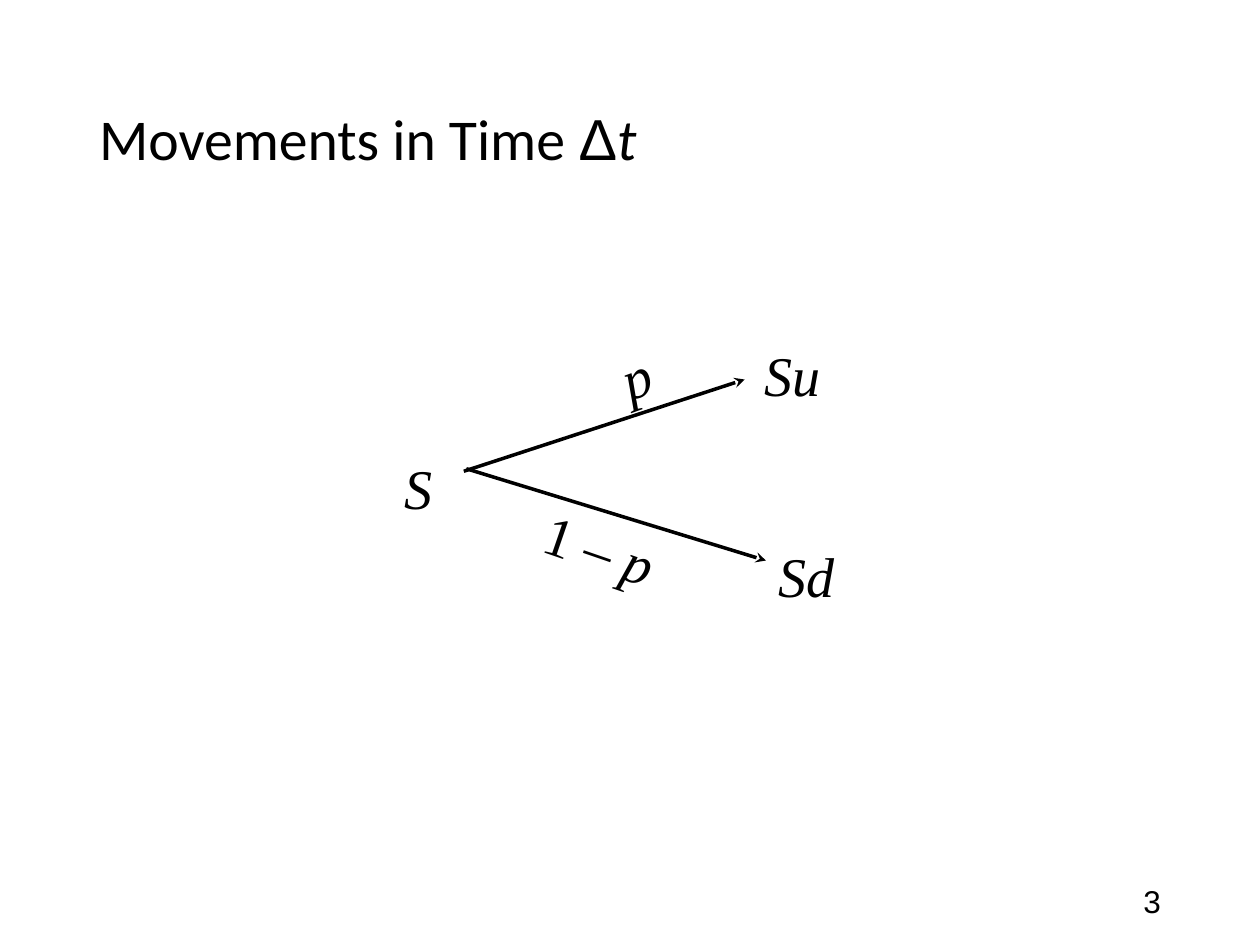
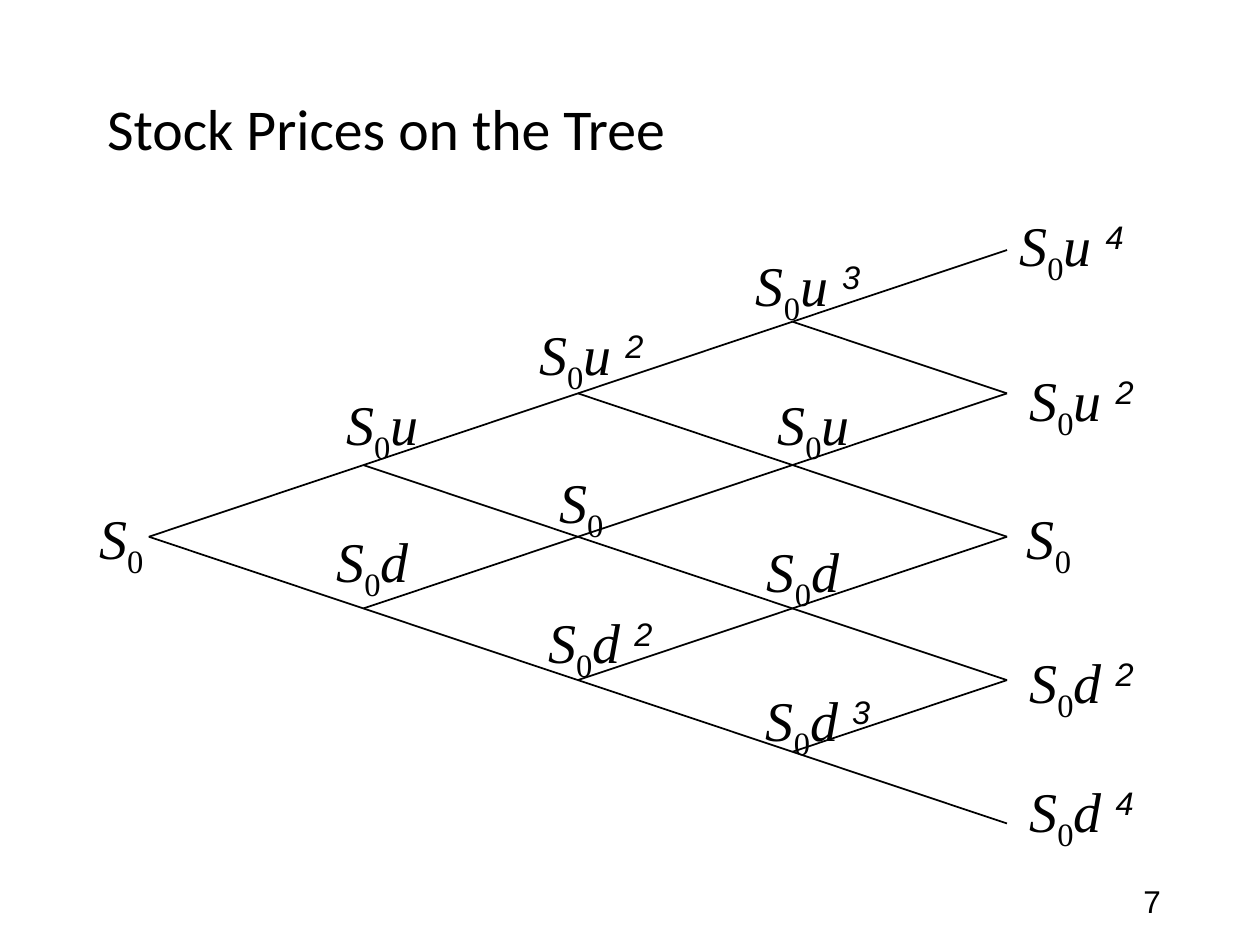
from dataclasses import dataclass
from typing import NamedTuple

from lxml.etree import SubElement
from pptx import Presentation
from pptx.dml.color import RGBColor
from pptx.enum.shapes import MSO_CONNECTOR
from pptx.enum.text import MSO_ANCHOR, MSO_AUTO_SIZE, PP_ALIGN
from pptx.oxml.ns import qn
from pptx.slide import Slide
from pptx.util import Cm, Pt

COLORS = {"background": "FFFFFF", "ink": "000000"}
HEADING_FACE, PLAIN_FACE, MATH_FACE = "Calibri", "Arial", "Times New Roman"
HEADING_SIZE, NUMBER_SIZE, MATH_SIZE = 33, 18, 32
LABEL_HEIGHT = 1.6


class Point(NamedTuple):
    x: float
    y: float


class Frame(NamedTuple):
    left: float
    top: float
    width: float
    height: float = LABEL_HEIGHT


class Span(NamedTuple):
    text: str
    face: str = MATH_FACE
    italic: bool = False
    baseline: int = 0


@dataclass(frozen=True)
class Label:
    frame: Frame
    spans: list[Span]
    rotation: float = 0
    wrap: bool = True


@dataclass(frozen=True)
class Price:
    """Stock price after `net` more up moves than down moves."""

    net: int
    left: float
    top: float
    fixed_width: float = 0

    def label(self) -> Label:
        power = abs(self.net)
        spans = [Span("S", italic=True), Span("0", baseline=-25)]
        if power:
            symbol = "u" if self.net > 0 else "d"
            spans.append(Span(symbol + (" " if power > 1 else ""), italic=True))
        if power > 1:
            spans.append(Span(str(power), PLAIN_FACE, True, 30))
        fitted_width = (1.75, 2.3, 3.05)[min(power, 2)]
        frame = Frame(self.left, self.top, self.fixed_width or fitted_width)
        return Label(frame, spans, wrap=bool(self.fixed_width))


NUMBER_FRAME = Frame(17.93, 17.65, 5.72, 1.02)

MOVE_ARROWS = [
    (Point(9.35, 9.5), Point(15.01, 7.65)),
    (Point(9.4, 9.45), Point(15.44, 11.3)),
]
MOVE_LABELS = [
    Label(Frame(15.16, 6.73, 1.93), [Span("Su", italic=True)]),
    Label(Frame(15.45, 10.8, 1.95), [Span("Sd", italic=True)]),
    Label(Frame(7.9, 9.02, 1.93), [Span("S", italic=True)]),
    Label(Frame(12.29, 6.78, 1.07), [Span("p", italic=True)], 340, False),
    Label(Frame(10.69, 10.44, 3.91), [Span("1 – "), Span("p", italic=True)], 19),
]

TREE_ROOT = Point(3, 10.82)
TREE_STEPS = 4
STEP_WIDTH, MOVE_HEIGHT = 4.325, 1.445
TREE_PRICES = [
    Price(0, 1.75, 10.03),
    Price(1, 6.73, 7.72),
    Price(-1, 6.53, 10.49),
    Price(2, 10.62, 6.32),
    Price(0, 11.02, 9.3),
    Price(-2, 10.8, 12.12),
    Price(3, 14.99, 4.93),
    Price(1, 15.42, 7.72),
    Price(-1, 15.21, 10.69),
    Price(-3, 15.19, 13.69),
    Price(4, 20.3, 4.11, 4.4),
    Price(2, 20.5, 7.24, 3.4),
    Price(0, 20.45, 10.03),
    Price(-2, 20.5, 12.93),
    Price(-4, 20.5, 15.52, 3.8),
]


def ink() -> RGBColor:
    return RGBColor.from_string(COLORS["ink"])


def add_text(page: Slide, frame: Frame, spans: list[Span], size: int, wrap: bool = True):
    box = page.shapes.add_textbox(*map(Cm, frame))
    box.text_frame.word_wrap = wrap
    para = box.text_frame.paragraphs[0]
    para.font.size = Pt(size)
    para.font.color.rgb = ink()
    same_face = len({span.face for span in spans}) == 1
    same_slant = len({span.italic for span in spans}) == 1
    if same_face:
        para.font.name = spans[0].face
    if same_slant:
        para.font.italic = spans[0].italic
    for span in spans:
        run = para.add_run()
        run.text = span.text
        if not same_face:
            run.font.name = span.face
        if not same_slant:
            run.font.italic = span.italic
        if span.baseline:
            run._r.get_or_add_rPr().set("baseline", str(span.baseline * 1000))
    return box


def add_label(page: Slide, label: Label) -> None:
    box = add_text(page, label.frame, label.spans, MATH_SIZE, label.wrap)
    box.text_frame.auto_size = MSO_AUTO_SIZE.SHAPE_TO_FIT_TEXT
    box.rotation = label.rotation


def add_line(page: Slide, start: Point, end: Point, width: float, arrow: bool = False) -> None:
    line = page.shapes.add_connector(MSO_CONNECTOR.STRAIGHT, *map(Cm, (*start, *end)))
    line.line.color.rgb = ink()
    line.line.width = Pt(width)
    properties = line._element.spPr
    if arrow:
        SubElement(properties.find(qn("a:ln")), qn("a:tailEnd"), type="stealth")
    SubElement(properties, qn("a:effectLst"))


def add_page(deck, title_frame: Frame, title: list[Span], number: int) -> Slide:
    """Add a blank page with its title and page number."""
    page = deck.slides.add_slide(deck.slide_layouts[6])
    page.background.fill.solid()
    page.background.fill.fore_color.rgb = RGBColor.from_string(COLORS["background"])
    heading = add_text(page, title_frame, title, HEADING_SIZE).text_frame
    heading.vertical_anchor = MSO_ANCHOR.MIDDLE
    heading.paragraphs[0].line_spacing = 0.9
    footer = add_text(page, NUMBER_FRAME, [Span(str(number), PLAIN_FACE)], NUMBER_SIZE).text_frame
    footer.vertical_anchor = MSO_ANCHOR.MIDDLE
    footer.paragraphs[0].alignment = PP_ALIGN.RIGHT
    return page


def tree_node(step: int, net: int) -> Point:
    return Point(TREE_ROOT.x + step * STEP_WIDTH, TREE_ROOT.y - net * MOVE_HEIGHT)


def build_movements(deck) -> None:
    title = [
        Span("Movements in Time ", HEADING_FACE),
        Span("Δ", PLAIN_FACE),
        Span("t", HEADING_FACE, True),
    ]
    page = add_page(deck, Frame(1.75, 1.02, 21.89, 3.68), title, 3)
    for start, end in MOVE_ARROWS:
        add_line(page, start, end, 2, arrow=True)
    for label in MOVE_LABELS:
        add_label(page, label)


def build_tree(deck) -> None:
    title = [Span("Stock Prices on the Tree", HEADING_FACE)]
    page = add_page(deck, Frame(1.91, 1.07, 21.59, 3.18), title, 7)
    for step in range(TREE_STEPS):
        for net in range(step, -step - 1, -2):
            for move in (1, -1):
                add_line(page, tree_node(step, net), tree_node(step + 1, net + move), 1)
    for price in TREE_PRICES:
        add_label(page, price.label())


def main() -> None:
    deck = Presentation()
    deck.slide_width, deck.slide_height = Cm(25.4), Cm(19.05)
    build_movements(deck)
    build_tree(deck)
    deck.save("out.pptx")


if __name__ == "__main__":
    main()
